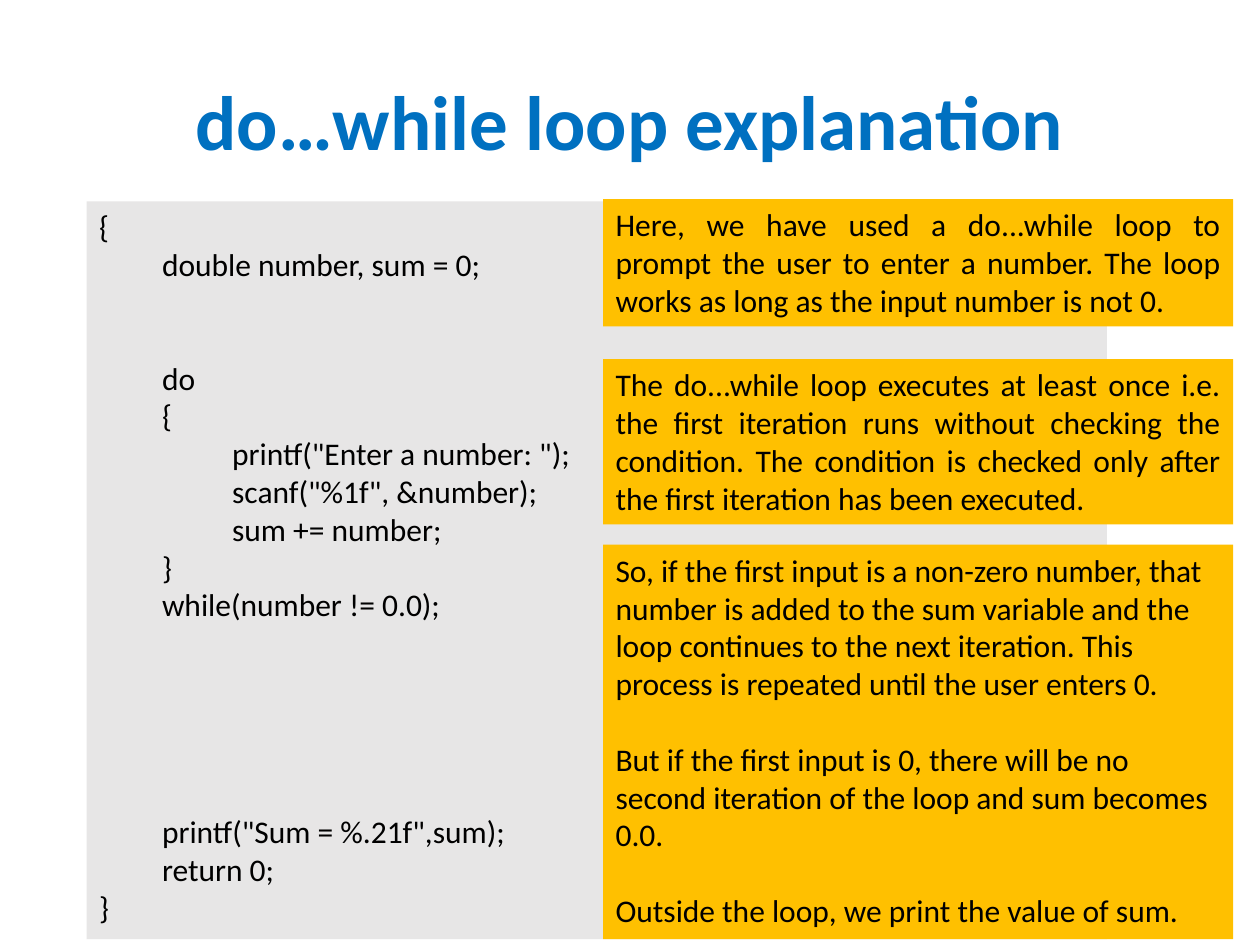
from lxml import etree
from pptx import Presentation
from pptx.dml.color import RGBColor
from pptx.enum.shapes import MSO_SHAPE
from pptx.enum.text import MSO_ANCHOR, MSO_AUTO_SIZE, PP_ALIGN
from pptx.oxml.ns import qn
from pptx.util import Pt

RECT = MSO_SHAPE.RECTANGLE
MIDDLE = MSO_ANCHOR.MIDDLE
TOP = MSO_ANCHOR.TOP
NO_FIT = MSO_AUTO_SIZE.NONE
LEFT = PP_ALIGN.LEFT
CENTER = PP_ALIGN.CENTER
JUSTIFY = PP_ALIGN.JUSTIFY

BLUE = RGBColor(0x00, 0x70, 0xC0)
GRAY = RGBColor(0xE7, 0xE6, 0xE6)
GOLD = RGBColor(0xFF, 0xC0, 0x00)
BLACK = RGBColor(0x00, 0x00, 0x00)

FONT = "Calibri"
LINE = 21.6
TAB = 36

CODE = [
    (0, "{"),
    (0, "\tdouble number, sum = 0;"),
    (2, "\tdo"),
    (0, "\t{"),
    (0, "\t\t printf(\"Enter a number: \");"),
    (0, "\t\t scanf(\"%1f\", &number);"),
    (0, "\t\t sum += number;"),
    (0, "\t}"),
    (0, "\twhile(number != 0.0);"),
    (5, "\tprintf(\"Sum = %.21f\",sum);"),
    (0, "\treturn 0;"),
    (0, "}"),
]

PROMPT = [(0, "Here, we have used a do...while loop to prompt the user to "
              "enter a number. The loop works as long as the input number "
              "is not 0.")]
ONCE = [(0, "The do...while loop executes at least once i.e. the first "
            "iteration runs without checking the condition. The condition "
            "is checked only after the first iteration has been executed.")]
RESULT = [
    (0, "So, if the first input is a non-zero number, that number is added "
        "to the sum variable and the loop continues to the next iteration. "
        "This process is repeated until the user enters 0."),
    (1, "But if the first input is 0, there will be no second iteration of "
        "the loop and sum becomes 0.0."),
    (1, "Outside the loop, we print the value of sum."),
]


def add_run(para, text, size, color, bold=False):
    run = para.add_run()
    run.text = text
    run.font.name = FONT
    run.font.size = Pt(size)
    run.font.color.rgb = color
    run.font.bold = bold


def set_tabs(para):
    tabs = etree.SubElement(para._p.get_or_add_pPr(), qn("a:tabLst"))
    for stop in (1, 2):
        etree.SubElement(tabs, qn("a:tab"), pos=str(Pt(TAB * stop)), algn="l")


def add_title(slide, box):
    title = slide.shapes.title
    title.left, title.top, title.width, title.height = map(Pt, box)
    frame = title.text_frame
    frame.auto_size = NO_FIT
    frame.vertical_anchor = MIDDLE
    para = frame.paragraphs[0]
    para.alignment = CENTER
    para.line_spacing = 0.9
    add_run(para, "do…while loop explanation", 44, BLUE, True)


def add_panel(slide, box, fill, lines, align=LEFT, tabbed=False):
    panel = slide.shapes.add_shape(RECT, *map(Pt, box))
    panel.shadow.inherit = False
    panel.fill.solid()
    panel.fill.fore_color.rgb = fill
    panel.line.fill.background()
    frame = panel.text_frame
    frame.word_wrap = True
    frame.vertical_anchor = TOP
    for i, (gap, text) in enumerate(lines):
        para = frame.add_paragraph() if i else frame.paragraphs[0]
        if tabbed:
            set_tabs(para)
        para.alignment = align
        if gap:
            para.space_before = Pt(gap * LINE)
        add_run(para, text, 18, BLACK)


def add_notes(slide, box):
    left, top, width, height = box
    notes = [
        (0, 72.7, PROMPT, JUSTIFY),
        (91.4, 94.5, ONCE, JUSTIFY),
        (197.4, height - 197.4, RESULT, LEFT),
    ]
    for drop, tall, lines, align in notes:
        add_panel(slide, (left, top + drop, width, tall), GOLD, lines, align)


def main():
    deck = Presentation()
    deck.slide_width = Pt(720)
    deck.slide_height = Pt(540)
    slide = deck.slides.add_slide(deck.slide_layouts[5])
    add_title(slide, (49.5, 28.75, 621, 86.4))
    add_panel(slide, (49.5, 115, 583, 421.7), GRAY, CODE, tabbed=True)
    add_notes(slide, (344.7, 113.8, 360, 422.9))
    deck.save("out.pptx")


if __name__ == "__main__":
    main()
